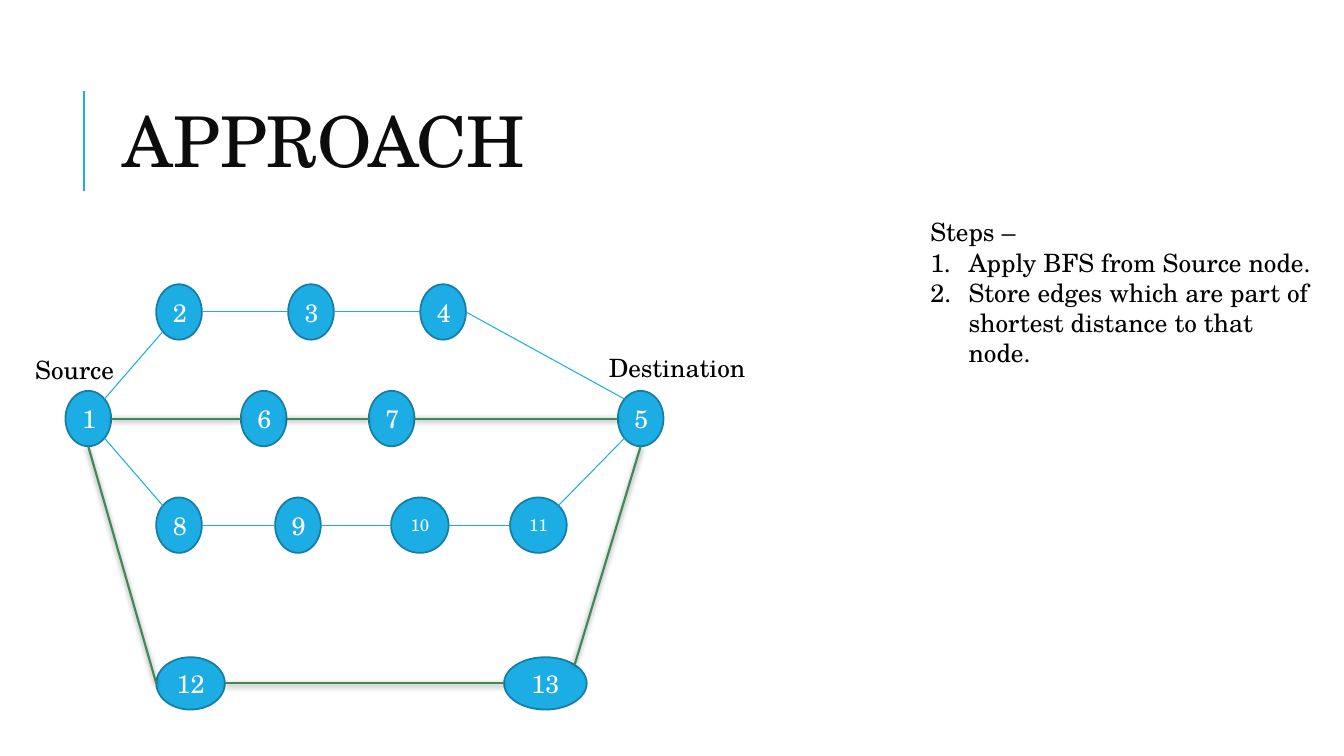
import math

from lxml import etree
from pptx import Presentation
from pptx import util as u
from pptx.dml.color import RGBColor
from pptx.enum import shapes, text
from pptx.oxml import ns

FONT = "TeX Gyre Schola"
BLUE, DARK_BLUE, GREEN = "1CADE4", "147EA6", "3E8853"
COLUMN, ROW = u.Inches(13.333) / 100, u.Inches(7.5) / 100

TOP, TOP_LEFT, LEFT, BOTTOM_LEFT, BOTTOM, BOTTOM_RIGHT, RIGHT, TOP_RIGHT = range(8)

NODE_ROWS = [
    (3.67, 7.33, [(2, 8.44, 3.4, 18), (3, 18.26, 3.4, 18), (4, 28.09, 3.4, 18)]),
    (17.77, 7.33, [(1, 1.69, 3.4, 18), (6, 14.74, 3.4, 18),
                   (7, 24.26, 3.4, 18), (5, 42.79, 3.4, 18)]),
    (31.87, 7.33, [(8, 8.44, 3.4, 18), (9, 17.29, 3.4, 18),
                   (10, 26.36, 4.28, 12), (11, 35.18, 4.22, 12)]),
    (52.8, 6.93, [(12, 9.3, 5.1, 18), (13, 35.7, 6.15, 18)]),
]
EDGES = [
    (1, TOP_RIGHT, 2, BOTTOM_LEFT), (2, RIGHT, 3, LEFT),
    (3, RIGHT, 4, LEFT), (4, RIGHT, 5, TOP_LEFT),
    (1, BOTTOM_RIGHT, 8, TOP_LEFT), (8, RIGHT, 9, LEFT),
    (9, RIGHT, 10, LEFT), (10, RIGHT, 11, LEFT), (11, TOP_RIGHT, 5, BOTTOM_LEFT),
]
SHORTEST_EDGES = [
    (1, RIGHT, 6, LEFT), (6, RIGHT, 7, LEFT), (7, RIGHT, 5, LEFT),
    (1, BOTTOM, 12, LEFT), (12, RIGHT, 13, LEFT), (13, TOP_RIGHT, 5, BOTTOM),
]


def color(value):
    return RGBColor.from_string(value)


def place(left, top, width, height):
    return [round(length) for length in
            (left * COLUMN, top * ROW, width * COLUMN, height * ROW)]


def format_text(shape, size, value):
    for paragraph in shape.text_frame.paragraphs:
        for run in paragraph.runs:
            run.font.size = u.Pt(size)
            run.font.name = FONT
            run.font.color.rgb = color(value)


def add_text(parent, box, content, size, value="000000"):
    shape = parent.add_textbox(*place(*box))
    shape.text_frame.word_wrap = True
    shape.text_frame.text = content
    format_text(shape, size, value)
    return shape


def add_line(parent, start, end, value, width, shadow=False):
    line = parent.add_connector(shapes.MSO_CONNECTOR.STRAIGHT, *start, *end)
    line.line.color.rgb = color(value)
    line.line.width = u.Pt(width)
    effects = etree.SubElement(line._element.spPr, ns.qn("a:effectLst"))
    if shadow:
        outer = etree.SubElement(effects, ns.qn("a:outerShdw"), blurRad="50800",
                                 dist="12700", dir="5400000", rotWithShape="0")
        black = etree.SubElement(outer, ns.qn("a:srgbClr"), val="000000")
        etree.SubElement(black, ns.qn("a:alpha"), val="50000")
    return line


def add_node(parent, box, number, size):
    node = parent.add_shape(shapes.MSO_SHAPE.OVAL, *place(*box))
    node.shadow.inherit = False
    node.fill.solid()
    node.fill.fore_color.rgb = color(BLUE)
    node.line.color.rgb = color(DARK_BLUE)
    node.line.width = u.Pt(1.25)
    frame = node.text_frame
    frame.text = str(number)
    frame.vertical_anchor = text.MSO_ANCHOR.MIDDLE
    frame.paragraphs[0].alignment = text.PP_ALIGN.CENTER
    format_text(node, size, "FFFFFF")
    return node


def site_point(node, site):
    angle = math.radians(90 + 45 * site)
    return (round(node.left + node.width / 2 * (1 + math.cos(angle))),
            round(node.top + node.height / 2 * (1 - math.sin(angle))))


def add_edge(parent, start, start_site, end, end_site, value, width, shadow):
    edge = add_line(parent, site_point(start, start_site),
                    site_point(end, end_site), value, width, shadow)
    joints = edge._element.nvCxnSpPr.cNvCxnSpPr
    for tag, node, site in (("a:stCxn", start, start_site), ("a:endCxn", end, end_site)):
        etree.SubElement(joints, ns.qn(tag), id=str(node.shape_id), idx=str(site))


def add_title(slide, box):
    left, top, width, height = box
    x, y, _, length = place(left - 2.17, top + 3.47, 0, 13.33)
    add_line(slide.shapes, (x, y + length), (x, y), BLUE, 1.5)
    title = add_text(slide.shapes, box, "APPROACH", 50, "0C0C0C")
    title.text_frame.vertical_anchor = text.MSO_ANCHOR.MIDDLE
    title.text_frame.paragraphs[0].line_spacing = 0.8


def add_graph(slide, left, top):
    group = slide.shapes.add_group_shape().shapes
    nodes = {}
    for middle, height, row in NODE_ROWS:
        for number, center, width, size in row:
            box = (left + center - width / 2, top + middle - height / 2, width, height)
            nodes[number] = add_node(group, box, number, size)
    for edges, style in ((EDGES, (BLUE, 0.75, False)),
                         (SHORTEST_EDGES, (GREEN, 1.5, True))):
        for start, start_site, end, end_site in edges:
            add_edge(group, nodes[start], start_site, nodes[end], end_site, *style)
    add_text(group, (left - 3, top + 8.67, 8.4, 5.33), "Source", 18)
    add_text(group, (left + 39.68, top + 8.4, 11.7, 5.33), "Destination", 18)


def add_steps(slide, box):
    steps = ["Steps –", "Apply BFS from Source node.",
             "Store edges which are part of shortest distance to that node."]
    shape = add_text(slide.shapes, box, "\n".join(steps), 18)
    for paragraph in shape.text_frame.paragraphs[1:]:
        properties = paragraph._p.get_or_add_pPr()
        properties.set("marL", str(u.Inches(0.38)))
        properties.set("indent", str(-u.Inches(0.38)))
        etree.SubElement(properties, ns.qn("a:buFont"), typeface=FONT)
        etree.SubElement(properties, ns.qn("a:buAutoNum"), type="arabicPeriod")


def main():
    presentation = Presentation()
    presentation.slide_width = round(100 * COLUMN)
    presentation.slide_height = round(100 * ROW)
    slide = presentation.slides.add_slide(presentation.slide_layouts[6])
    slide.background.fill.solid()
    slide.background.fill.fore_color.rgb = color("FFFFFF")
    add_title(slide, (8.4, 8.53, 79.73, 21.87))
    add_graph(slide, 4.88, 37.6)
    add_steps(slide, (68.48, 28, 30.3, 17.47))
    presentation.save("out.pptx")


if __name__ == "__main__":
    main()
